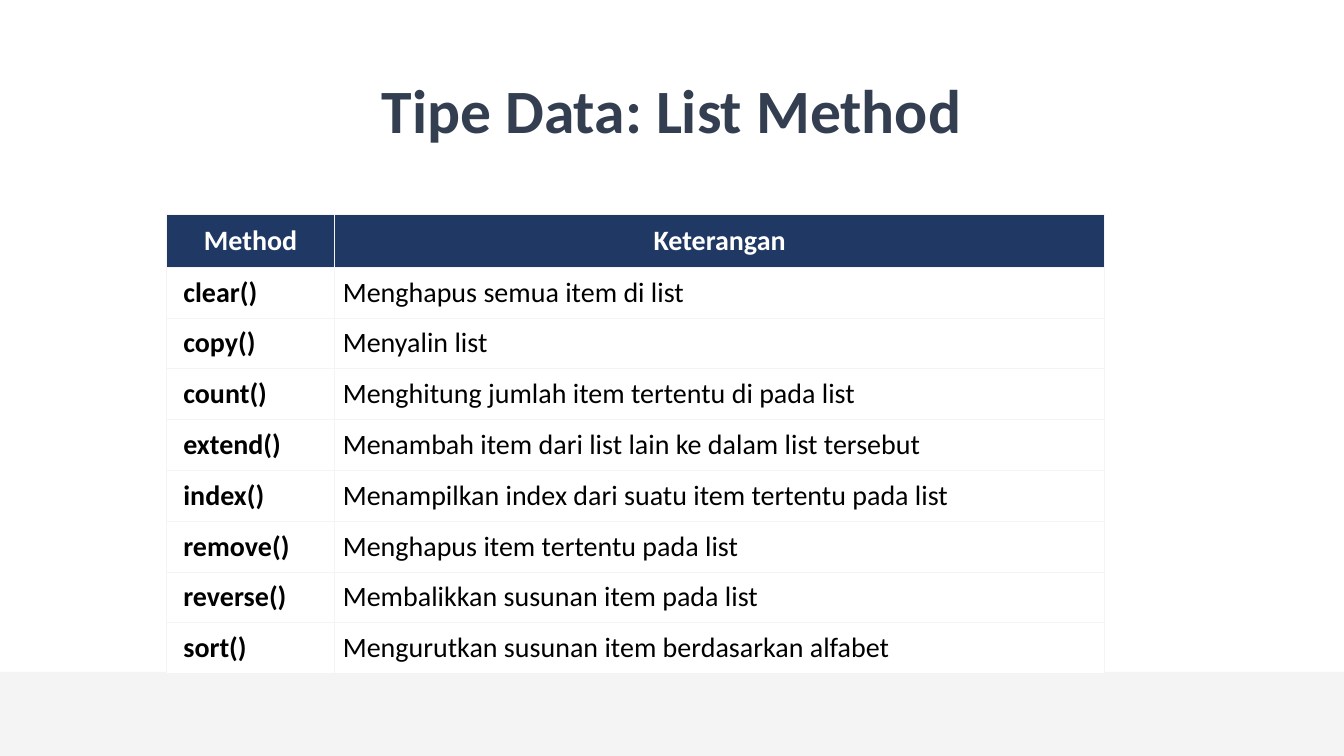
from dataclasses import dataclass

from lxml.etree import SubElement
from pptx import Presentation
from pptx.dml.color import RGBColor
from pptx.enum.shapes import MSO_SHAPE
from pptx.enum.text import MSO_ANCHOR, PP_ALIGN
from pptx.oxml.ns import qn
from pptx.slide import Slide
from pptx.table import _Cell
from pptx.text.text import _Paragraph
from pptx.util import Cm, Pt

WHITE = RGBColor(0xFF, 0xFF, 0xFF)
BLACK = RGBColor(0x00, 0x00, 0x00)
SLATE = RGBColor(0x33, 0x3F, 0x50)
NAVY = RGBColor(0x20, 0x38, 0x64)
PALE_GREY = RGBColor(0xF4, 0xF4, 0xF4)

SLIDE_WIDTH = Cm(33.87)
SLIDE_HEIGHT = Cm(19.05)
FOOTER_TOP = Cm(16.93)
COLUMN_WIDTHS = (Cm(4.23), Cm(19.41))
HEADER_HEIGHT = Cm(1.34)
ROW_HEIGHT = Cm(1.28)

TITLE_FONT = {"name": "Calibri", "size": Pt(44), "bold": True}
HEADER_FONT = {"name": "Calibri", "size": Pt(20), "bold": True}
METHOD_FONT = HEADER_FONT
DESCRIPTION_FONT = {**HEADER_FONT, "bold": False}

HEADER_CELL = {
    "vertical_anchor": MSO_ANCHOR.MIDDLE,
    "margin_left": Cm(0.25), "margin_right": Cm(0.25),
    "margin_top": Cm(0.13), "margin_bottom": Cm(0.13),
}
DESCRIPTION_CELL = {
    "vertical_anchor": MSO_ANCHOR.TOP,
    "margin_left": Cm(0.21), "margin_right": Cm(0.21),
    "margin_top": Cm(0.21), "margin_bottom": Cm(0.21),
}
METHOD_CELL = {**DESCRIPTION_CELL, "margin_left": Cm(0.42)}


@dataclass(frozen=True)
class ListMethod:
    name: str
    description: str


@dataclass(frozen=True)
class CellStyle:
    layout: dict
    font: dict
    color: RGBColor
    fill: RGBColor
    alignment: PP_ALIGN


HEADER_STYLE = CellStyle(HEADER_CELL, HEADER_FONT, WHITE, NAVY, PP_ALIGN.CENTER)
METHOD_STYLE = CellStyle(METHOD_CELL, METHOD_FONT, BLACK, WHITE, PP_ALIGN.LEFT)
DESCRIPTION_STYLE = CellStyle(
    DESCRIPTION_CELL, DESCRIPTION_FONT, BLACK, WHITE, PP_ALIGN.LEFT
)

HEADER = ListMethod("Method", "Keterangan")
LIST_METHODS = (
    ListMethod("clear()", "Menghapus semua item di list"),
    ListMethod("copy()", "Menyalin list"),
    ListMethod("count()", "Menghitung jumlah item tertentu di pada list"),
    ListMethod("extend()", "Menambah item dari list lain ke dalam list tersebut"),
    ListMethod("index()", "Menampilkan index dari suatu item tertentu pada list"),
    ListMethod("remove()", "Menghapus item tertentu pada list"),
    ListMethod("reverse()", "Membalikkan susunan item pada list"),
    ListMethod("sort()", "Mengurutkan susunan item berdasarkan alfabet"),
)


def apply_format(target: object, values: dict) -> None:
    for attribute, value in values.items():
        setattr(target, attribute, value)


def write_text(
    paragraph: _Paragraph, text: str, font: dict, color: RGBColor, alignment: PP_ALIGN
) -> None:
    paragraph.alignment = alignment
    run = paragraph.add_run()
    run.text = text
    apply_format(run.font, font)
    run.font.color.rgb = color


def add_borders(cell: _Cell) -> None:
    properties = cell._tc.get_or_add_tcPr()
    for side in ("a:lnL", "a:lnR", "a:lnT", "a:lnB"):
        line = SubElement(properties, qn(side), w=str(Pt(0.5)))
        fill = SubElement(line, qn("a:solidFill"))
        SubElement(fill, qn("a:srgbClr"), val=str(PALE_GREY))


def fill_cell(cell: _Cell, text: str, style: CellStyle) -> None:
    apply_format(cell, style.layout)
    add_borders(cell)
    cell.fill.solid()
    cell.fill.fore_color.rgb = style.fill
    paragraph = cell.text_frame.paragraphs[0]
    write_text(paragraph, text, style.font, style.color, style.alignment)


def add_footer_band(slide: Slide) -> None:
    band = slide.shapes.add_shape(
        MSO_SHAPE.RECTANGLE, 0, FOOTER_TOP, SLIDE_WIDTH, SLIDE_HEIGHT - FOOTER_TOP
    )
    band.shadow.inherit = False
    band.fill.solid()
    band.fill.fore_color.rgb = PALE_GREY
    band.line.fill.background()


def add_title(slide: Slide, text: str) -> None:
    title = slide.shapes.add_textbox(Cm(2.33), Cm(1.01), Cm(29.21), Cm(3.68))
    frame = title.text_frame
    apply_format(frame, {"word_wrap": True, "vertical_anchor": MSO_ANCHOR.MIDDLE})
    paragraph = frame.paragraphs[0]
    paragraph.line_spacing = 0.9
    write_text(paragraph, text, TITLE_FONT, SLATE, PP_ALIGN.CENTER)


def add_method_table(slide: Slide) -> None:
    height = HEADER_HEIGHT + ROW_HEIGHT * len(LIST_METHODS)
    table = slide.shapes.add_table(
        len(LIST_METHODS) + 1, len(COLUMN_WIDTHS),
        Cm(4.2), Cm(5.39), sum(COLUMN_WIDTHS), height,
    ).table
    apply_format(table, {"first_row": False, "horz_banding": False})
    for column, width in zip(table.columns, COLUMN_WIDTHS):
        column.width = width
    for index, method in enumerate((HEADER, *LIST_METHODS)):
        is_header = index == 0
        table.rows[index].height = HEADER_HEIGHT if is_header else ROW_HEIGHT
        name_style = HEADER_STYLE if is_header else METHOD_STYLE
        description_style = HEADER_STYLE if is_header else DESCRIPTION_STYLE
        fill_cell(table.cell(index, 0), method.name, name_style)
        fill_cell(table.cell(index, 1), method.description, description_style)


def main() -> None:
    presentation = Presentation()
    apply_format(
        presentation, {"slide_width": SLIDE_WIDTH, "slide_height": SLIDE_HEIGHT}
    )
    slide = presentation.slides.add_slide(presentation.slide_layouts[6])
    add_footer_band(slide)
    add_title(slide, "Tipe Data: List Method")
    add_method_table(slide)
    presentation.save("out.pptx")


if __name__ == "__main__":
    main()
